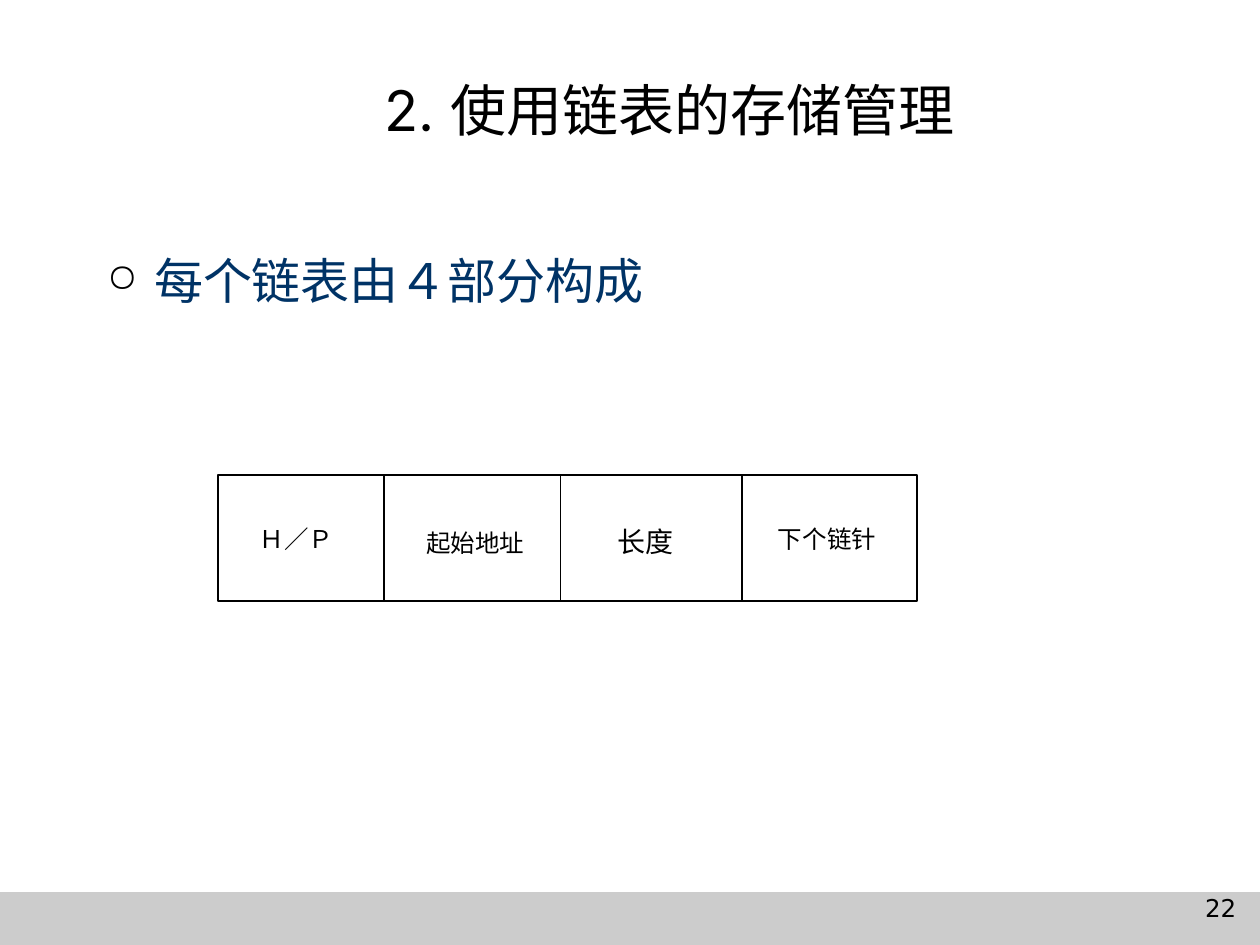
import pptx
import pptx.dml.color
import pptx.enum.shapes
import pptx.enum.text
import pptx.oxml.ns
import pptx.util
from lxml import etree

Pt = pptx.util.Pt
ALIGN = pptx.enum.text.PP_ALIGN
ANCHOR = pptx.enum.text.MSO_ANCHOR
COLOURS = {"white": "FFFFFF", "black": "000000", "navy": "003366", "grey": "CCCCCC"}


def add_xml(parent, tag, **attributes):
    return etree.SubElement(parent, pptx.oxml.ns.qn(tag), attributes)


class SlideBuilder:
    line_width = 0.75

    def __init__(self, slide):
        self.slide = slide

    def colour(self, name):
        return pptx.dml.color.RGBColor.from_string(COLOURS[name])

    def rectangle(self, left, top, width, height, fill, line=None):
        shape = self.slide.shapes.add_shape(
            pptx.enum.shapes.MSO_SHAPE.RECTANGLE, Pt(left), Pt(top), Pt(width), Pt(height))
        shape.shadow.inherit = False
        shape.fill.solid()
        shape.fill.fore_color.rgb = self.colour(fill)
        if line:
            shape.line.color.rgb = self.colour(line)
            shape.line.width = Pt(self.line_width)
        else:
            shape.line.fill.background()

    def vertical_line(self, x, top, height):
        connector = self.slide.shapes.add_connector(
            pptx.enum.shapes.MSO_CONNECTOR.STRAIGHT, Pt(x), Pt(top), Pt(x), Pt(top + height))
        connector.line.color.rgb = self.colour("black")
        connector.line.width = Pt(self.line_width)
        add_xml(connector._element.spPr, "a:effectLst")

    def text(self, text, left, top, width, height, size, font="Inter",
             colour="black", align=ALIGN.CENTER, anchor=ANCHOR.TOP):
        box = self.slide.shapes.add_textbox(Pt(left), Pt(top), Pt(width), Pt(height))
        frame = box.text_frame
        frame.word_wrap = True
        frame.vertical_anchor = anchor
        frame.text = text
        paragraph = frame.paragraphs[0]
        paragraph.alignment = align
        run = paragraph.runs[0]
        run.font.size = Pt(size)
        run.font.name = font
        run.font.color.rgb = self.colour(colour)
        add_xml(run.font._element, "a:ea", typeface=font)
        return paragraph

    def bullet(self, paragraph, character, indent, percent):
        properties = paragraph._p.get_or_add_pPr()
        properties.set("marL", str(Pt(indent)))
        properties.set("indent", str(-Pt(indent)))
        bullet_colour = add_xml(properties, "a:buClr")
        add_xml(bullet_colour, "a:srgbClr", val=COLOURS["black"])
        add_xml(properties, "a:buSzPct", val=str(percent * 1000))
        add_xml(properties, "a:buChar", char=character)


def main():
    presentation = pptx.Presentation()
    presentation.slide_width, presentation.slide_height = Pt(720), Pt(540)
    builder = SlideBuilder(presentation.slides.add_slide(presentation.slide_layouts[6]))

    builder.rectangle(0, 509.8, 720, 30.2, "grey")
    builder.text("22", 640.8, 506.9, 72.7, 31.7, 14, "DejaVu Sans", align=ALIGN.RIGHT)
    builder.text("2. 使用链表的存储管理", 76.3, 23.8, 612.7, 77, 32, anchor=ANCHOR.MIDDLE)
    statement = builder.text("每个链表由４部分构成", 54, 139.7, 612, 121, 28,
                             "DejaVu Sans", "navy", ALIGN.LEFT)
    builder.bullet(statement, "○", 27, 80)

    node_left, node_top, node_width, node_height = 124.5, 271.5, 399.5, 72
    builder.rectangle(node_left, node_top, node_width, node_height, "white", "black")
    for divider in (219.5, 320.5, 424):
        builder.vertical_line(divider, node_top, node_height)

    fields = [  # text, left, top, width, size
        ("Ｈ／Ｐ", 131, 296, 77, 14),
        ("起始地址", 229, 298, 85, 14),
        ("长度", 329, 296, 80, 16),
        ("下个链针", 433.4, 296, 78.5, 14),
    ]
    for label, left, top, width, size in fields:
        builder.text(label, left, top, width, 27, size)

    presentation.save("out.pptx")


if __name__ == "__main__":
    main()
